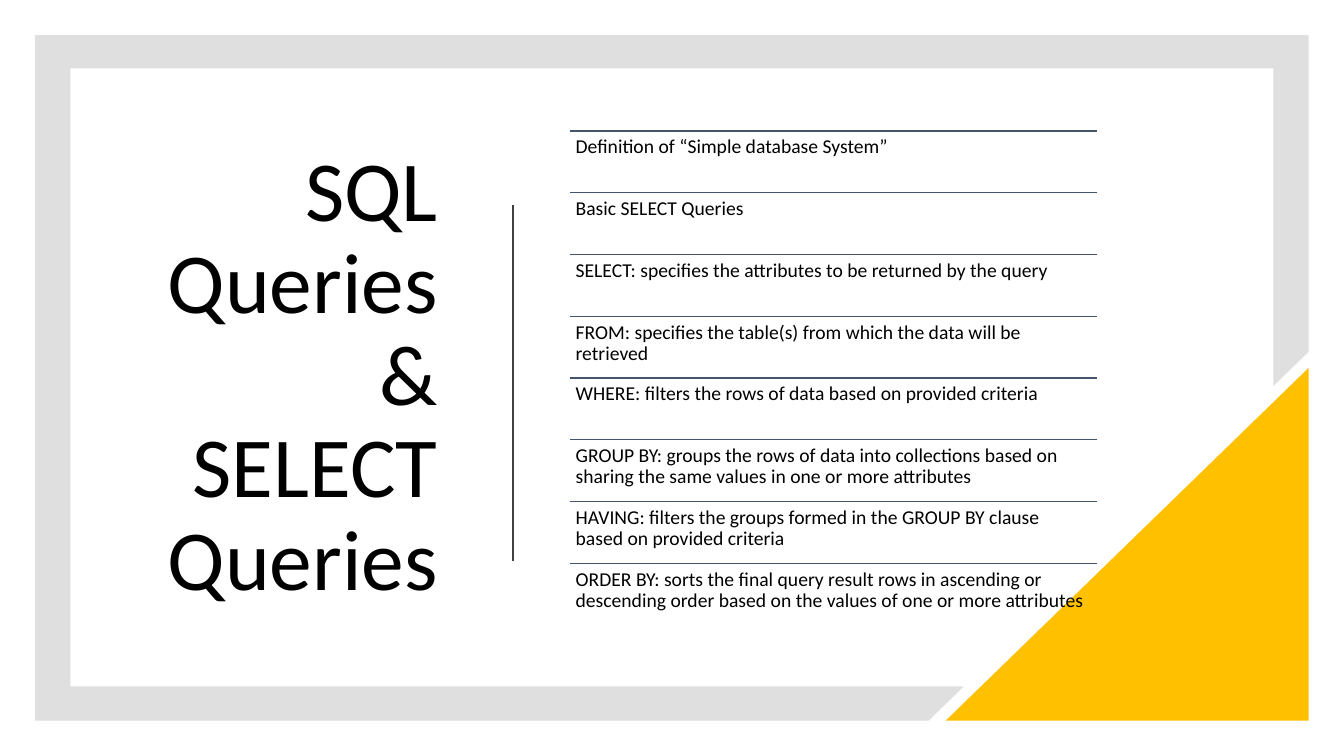
"""Build the SQL and SELECT queries agenda slide."""
from dataclasses import dataclass

from lxml import etree
from pptx import Presentation
from pptx.dml.color import RGBColor
from pptx.enum import shapes, text
from pptx.oxml import ns
from pptx.util import Inches, Pt

HEADING = "SQL Queries & SELECT Queries"
TOPICS = [
    "Definition of “Simple database System”",
    "Basic SELECT Queries",
    "SELECT: specifies the attributes to be returned by the query",
    "FROM: specifies the table(s) from which the data will be retrieved",
    "WHERE: filters the rows of data based on provided criteria",
    "GROUP BY: groups the rows of data into collections based on sharing the same values in one or more attributes",
    "HAVING: filters the groups formed in the GROUP BY clause based on provided criteria",
    "ORDER BY: sorts the final query result rows in ascending or descending order "
    "based on the values of one or more attributes",
]
FRAME = [
    (0.35, 0.35), (12.98, 0.35), (12.98, 3.49), (12.63, 3.83), (12.63, 0.68),
    (0.7, 0.68), (0.7, 6.81), (9.56, 6.81), (9.21, 7.15), (0.35, 7.15),
]
CORNER = (9.38, 3.65, 3.6, 3.5)
HEADING_BOX = (1.1, 1.3, 3.34, 4.9)
DIVIDER = (5.09, 2.03, 5.09, 5.57)
LIST_LEFT, LIST_TOP, LIST_WIDTH, LIST_HEIGHT = 5.65, 1.3, 5.23, 4.9
INSET = 0.06


@dataclass(frozen=True)
class Theme:
    """Colours, font and type sizes."""
    frame: str = "808080"
    frame_alpha: int = 25000
    corner: str = "FFC000"
    ink: str = "000000"
    divider: str = "404040"
    rule: str = "44546A"
    font: str = "Calibri"
    heading_size: int = 61
    topic_size: int = 14


THEME = Theme()


def inches(values):
    """Convert numbers to lengths."""
    return [Inches(value) for value in values]


def paint(shape, color):
    """Give a shape a plain fill with no outline or shadow."""
    shape.shadow.inherit = False
    shape.fill.solid()
    shape.fill.fore_color.rgb = RGBColor.from_string(color)
    shape.line.fill.background()


def add_line(slide, ends, color, width):
    """Draw a straight line without a shadow."""
    line = slide.shapes.add_connector(shapes.MSO_CONNECTOR.STRAIGHT, *inches(ends))
    line.line.color.rgb = RGBColor.from_string(color)
    line.line.width = Pt(width)
    etree.SubElement(line._element.spPr, ns.qn("a:effectLst"))


def write(frame, words, size):
    """Write one paragraph into a wrapping text frame."""
    frame.word_wrap = True
    frame.auto_size = text.MSO_AUTO_SIZE.NONE
    paragraph = frame.paragraphs[0]
    paragraph.line_spacing = 0.9
    run = paragraph.add_run()
    run.text = words
    run.font.name = THEME.font
    run.font.size = Pt(size)
    run.font.color.rgb = RGBColor.from_string(THEME.ink)
    return paragraph


def add_backdrop(slide):
    """Draw the grey frame and the yellow corner."""
    points = [tuple(inches(point)) for point in FRAME]
    outline = slide.shapes.build_freeform(*points[0])
    outline.add_line_segments(points[1:], close=True)
    frame = outline.convert_to_shape()
    paint(frame, THEME.frame)
    tint = frame._element.spPr.find(ns.qn("a:solidFill"))[0]
    etree.SubElement(tint, ns.qn("a:alpha"), val=str(THEME.frame_alpha))

    corner = slide.shapes.add_shape(shapes.MSO_SHAPE.RIGHT_TRIANGLE, *inches(CORNER))
    paint(corner, THEME.corner)
    corner._element.spPr.find(ns.qn("a:xfrm")).set("flipH", "1")


def add_heading(slide):
    """Place the right-aligned heading and its divider."""
    heading = slide.shapes.title
    heading.left, heading.top, heading.width, heading.height = inches(HEADING_BOX)
    heading.text_frame.vertical_anchor = text.MSO_ANCHOR.MIDDLE
    paragraph = write(heading.text_frame, HEADING, THEME.heading_size)
    paragraph.alignment = text.PP_ALIGN.RIGHT
    add_line(slide, DIVIDER, THEME.divider, 1.5)


def add_topics(slide):
    """Stack the topics in equal rows, each under a rule."""
    row = LIST_HEIGHT / len(TOPICS)
    for index, topic in enumerate(TOPICS):
        top = LIST_TOP + index * row
        add_line(slide, (LIST_LEFT, top, LIST_LEFT + LIST_WIDTH, top), THEME.rule, 1)
        entry = slide.shapes.add_textbox(*inches((LIST_LEFT, top, LIST_WIDTH, row))).text_frame
        entry.margin_left = entry.margin_right = Inches(INSET)
        entry.margin_top = entry.margin_bottom = Inches(INSET)
        write(entry, topic, THEME.topic_size)


def main():
    """Assemble and save the slide."""
    deck = Presentation()
    deck.slide_width, deck.slide_height = inches((13.33, 7.5))
    slide = deck.slides.add_slide(deck.slide_layouts[5])
    add_backdrop(slide)
    add_heading(slide)
    add_topics(slide)
    deck.save("out.pptx")


if __name__ == "__main__":
    main()
